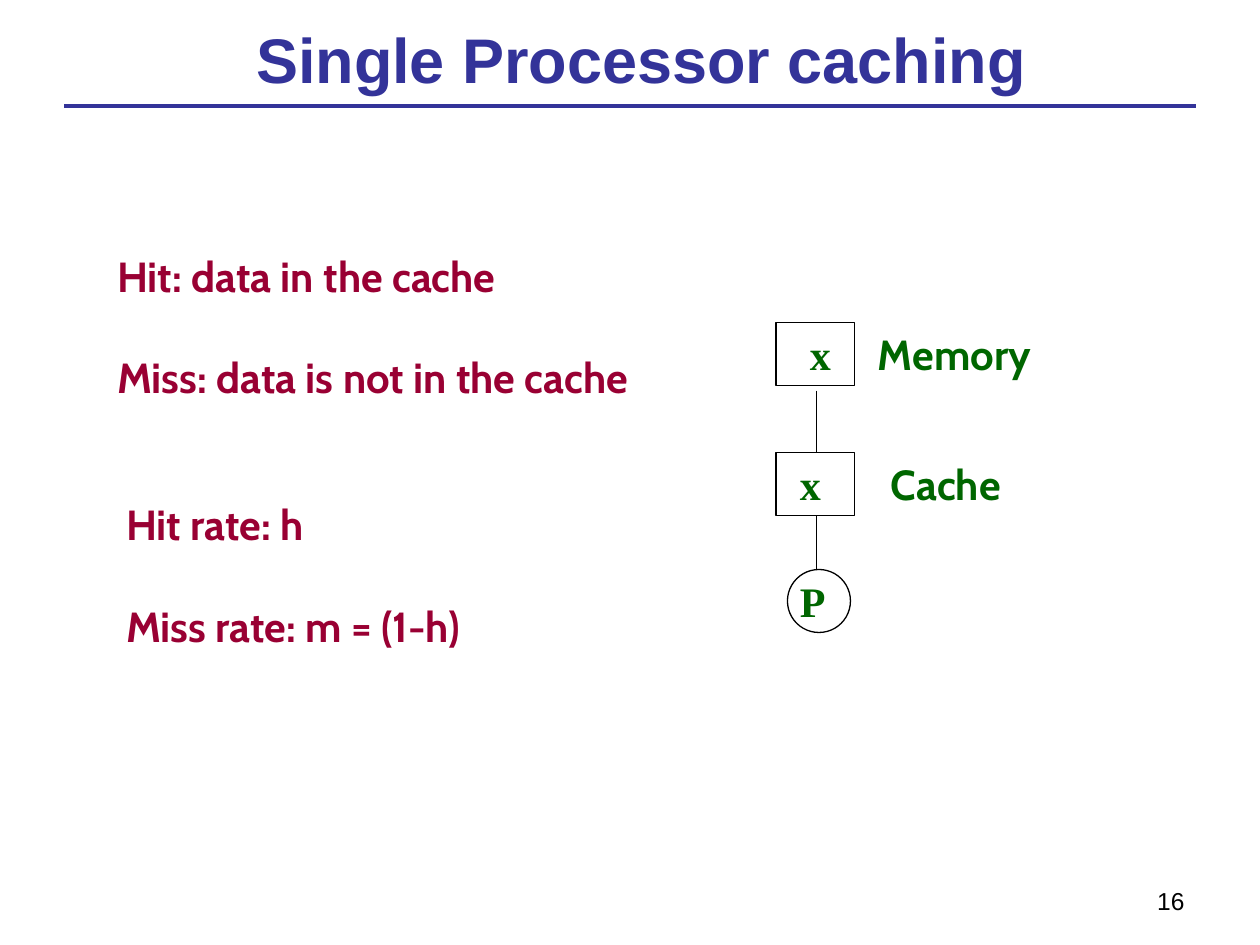
from lxml.etree import SubElement
from pptx import Presentation
from pptx.dml.color import RGBColor
from pptx.enum.shapes import MSO_CONNECTOR as Link, MSO_SHAPE as Kind
from pptx.enum.text import MSO_ANCHOR as Anchor, MSO_AUTO_SIZE as Fit, PP_ALIGN as Align
from pptx.oxml.ns import qn
from pptx.util import Inches, Pt

BLUE = RGBColor(0x33, 0x33, 0x99)
RED = RGBColor(0x99, 0x00, 0x33)
GREEN = RGBColor(0x00, 0x66, 0x00)
BLACK = RGBColor(0, 0, 0)
ROW = 0.5
MID = 6.48
TOPS = (2.56, 3.59, 4.52)


def place(shape, *spot):
    shape.left, shape.top, shape.width, shape.height = map(Inches, spot)


def add_run(para, text, size, face, color, bold=True):
    run = para.add_run()
    run.text = text
    font = run.font
    font.size, font.name, font.bold = Pt(size), face, bold
    font.color.rgb = color


def set_frame(shape, anchor=Anchor.TOP):
    frame = shape.text_frame
    frame.auto_size = Fit.NONE
    frame.word_wrap = True
    frame.vertical_anchor = anchor
    return frame


def add_title(slide, text):
    title = slide.shapes.title
    place(title, 0.83, 0.13, 8.52, 0.66)
    para = set_frame(title, Anchor.MIDDLE).paragraphs[0]
    para.alignment = Align.CENTER
    add_run(para, text, 36, "Arial", BLUE)


def fill_list(body, spot, lines):
    place(body, *spot)
    frame = set_frame(body)
    for i, line in enumerate(lines):
        para = frame.add_paragraph() if i else frame.paragraphs[0]
        para.space_before = Pt(29 * i)
        props = para._p.get_or_add_pPr()
        props.set("marL", "0")
        props.set("indent", "0")
        SubElement(props, qn("a:buNone"))
        add_run(para, line, 24, "Cabin", RED)


def add_text(slide, spot, text, size, face, color, bold=True, align=Align.LEFT):
    box = slide.shapes.add_textbox(*map(Inches, spot))
    para = set_frame(box).paragraphs[0]
    para.alignment = align
    add_run(para, text, size, face, color, bold)


def add_line(slide, start, end, color, width):
    line = slide.shapes.add_connector(Link.STRAIGHT, *map(Inches, start + end))
    line.line.color.rgb = color
    line.line.width = Pt(width)
    SubElement(line._element.spPr, qn("a:effectLst"))


def add_node(slide, kind, left, top, width, text, inset):
    node = slide.shapes.add_shape(kind, *map(Inches, (left, top, width, ROW)))
    node.shadow.inherit = False
    node.fill.background()
    node.line.color.rgb = BLACK
    node.line.width = Pt(0.75)
    add_text(slide, (inset, top, ROW, ROW), text, 24, "Times New Roman", GREEN)


def main():
    deck = Presentation()
    deck.slide_width, deck.slide_height = Inches(10), Inches(7.5)
    slide = deck.slides.add_slide(deck.slide_layouts[3])
    add_line(slide, (0.51, 0.84), (9.49, 0.84), BLUE, 2.25)
    add_title(slide, "Single Processor caching")
    facts, rates = list(slide.placeholders)[1:3]
    fill_list(facts, (0.83, 1.94, 5.05, 1.3),
              ["Hit: data in the cache", "Miss: data is not in the cache"])
    fill_list(rates, (0.9, 3.91, 3.6, 1.3),
              ["Hit rate: h", "Miss rate: m = (1-h)"])
    mem, cache, proc = TOPS
    add_node(slide, Kind.RECTANGLE, 6.16, mem, 0.62, "x", 6.33)
    add_node(slide, Kind.RECTANGLE, 6.16, cache, 0.62, "x", 6.25)
    add_node(slide, Kind.OVAL, 6.25, proc, ROW, "P", 6.25)
    for start, end in ((3.1, cache), (cache + ROW, proc)):
        add_line(slide, (MID, start), (MID, end), BLACK, 0.75)
    for left, top, name in ((6.87, mem, "Memory"), (6.97, cache, "Cache")):
        add_text(slide, (left, top, 1.56, ROW), name, 24, "Cabin", GREEN)
    add_text(slide, (7.17, 6.98, 2.33, 0.37), "16", 14, "Arial", BLACK,
             False, Align.RIGHT)
    deck.save("out.pptx")


if __name__ == "__main__":
    main()
